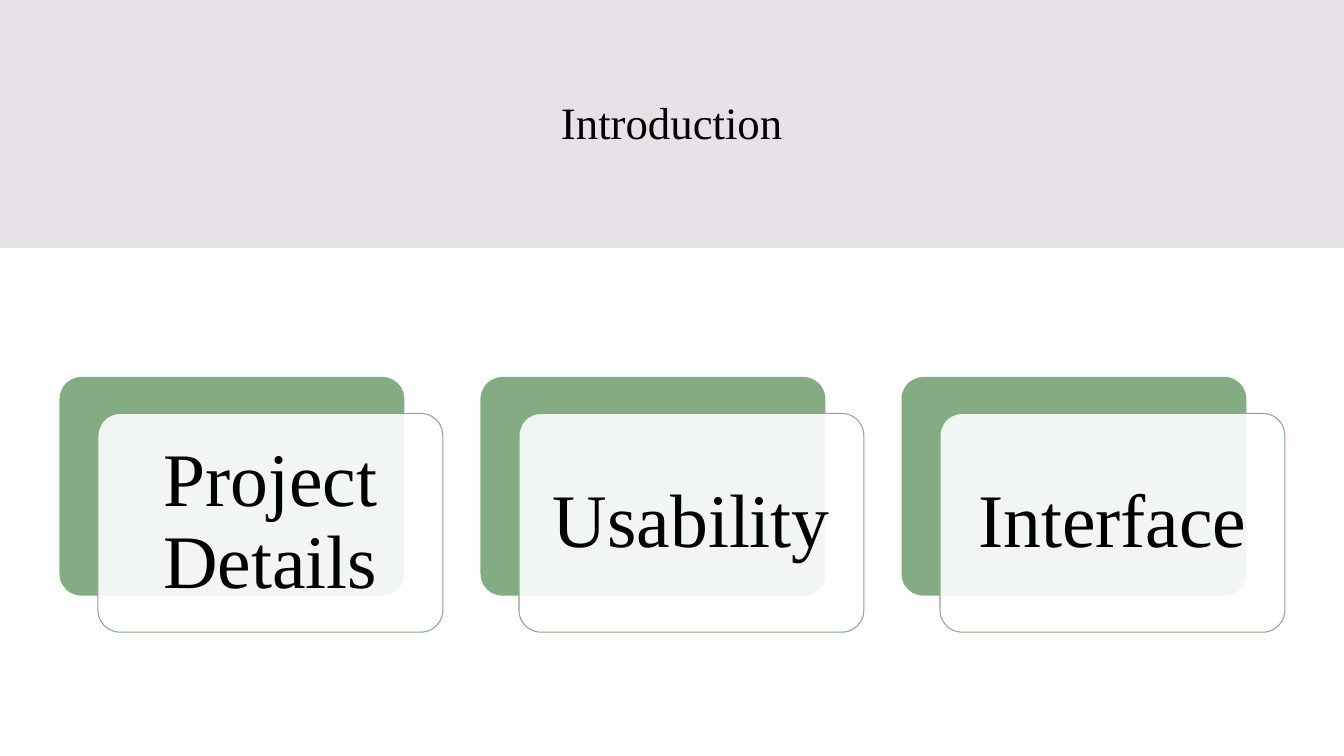
from lxml import etree
from pptx import Presentation
from pptx import util as u
from pptx.dml import color
from pptx.enum import shapes, text
from pptx.oxml import ns

SLIDE_WIDTH, SLIDE_HEIGHT = 33.87, 19.05
BAND_HEIGHT = 6.25
CARD_WIDTH, CARD_HEIGHT = 8.69, 5.51
CARD_LEFT, CARD_TOP, CARD_STEP = 1.5, 9.5, 10.61
FRONT_SHIFT_X, FRONT_SHIFT_Y = 0.97, 0.92
LABEL_MARGIN = 0.16


def rgb(value):
    return color.RGBColor.from_string(value)


def write(shape, content, *, size, font, ink, inset=None, line_spacing=None):
    """Put centred text into a shape."""
    frame = shape.text_frame
    frame.word_wrap = True
    frame.vertical_anchor = text.MSO_ANCHOR.MIDDLE
    if inset is not None:
        frame.margin_left = frame.margin_right = u.Cm(inset)
        frame.margin_top = frame.margin_bottom = u.Cm(inset)
    paragraph = frame.paragraphs[0]
    paragraph.alignment = text.PP_ALIGN.CENTER
    if line_spacing is not None:
        paragraph.line_spacing = line_spacing
    run = paragraph.add_run()
    run.text = content
    run.font.size = u.Pt(size)
    run.font.name = font
    run.font.color.rgb = rgb(ink)


class IntroductionSlide:
    font = "Times New Roman"
    ink = "000000"
    background = "E8E2E8"
    white = "FFFFFF"
    green = "84AC82"

    def __init__(self, presentation):
        self.slide = presentation.slides.add_slide(presentation.slide_layouts[6])
        fill = self.slide.background.fill
        fill.solid()
        fill.fore_color.rgb = rgb(self.background)

    def box(self, left, top, width, height, fill, *, radius=None, line=None, opacity=100):
        """Add a rectangle, rounded when a radius is given."""
        kinds = shapes.MSO_SHAPE
        kind = kinds.RECTANGLE if radius is None else kinds.ROUNDED_RECTANGLE
        shape = self.slide.shapes.add_shape(
            kind, u.Cm(left), u.Cm(top), u.Cm(width), u.Cm(height))
        shape.shadow.inherit = False
        if radius is not None:
            shape.adjustments[0] = radius
        shape.fill.solid()
        shape.fill.fore_color.rgb = rgb(fill)
        if opacity < 100:
            fill_color = shape.fill._xPr.find(".//" + ns.qn("a:srgbClr"))
            etree.SubElement(fill_color, ns.qn("a:alpha"), val=str(opacity * 1000))
        if line is None:
            shape.line.fill.background()
        else:
            shape.line.color.rgb = rgb(line)
            shape.line.width = u.Pt(0.75)

    def label(self, left, top, width, height, content, size, **text_format):
        shape = self.slide.shapes.add_textbox(
            u.Cm(left), u.Cm(top), u.Cm(width), u.Cm(height))
        write(shape, content, size=size, font=self.font, ink=self.ink, **text_format)

    def card(self, left, top, content):
        """Add a green card with a translucent, labelled card in front."""
        self.box(left, top, CARD_WIDTH, CARD_HEIGHT, self.green, radius=0.1)
        left += FRONT_SHIFT_X
        top += FRONT_SHIFT_Y
        self.box(left, top, CARD_WIDTH, CARD_HEIGHT, self.white,
                 radius=0.1, line=self.green, opacity=90)
        self.label(left + LABEL_MARGIN, top + LABEL_MARGIN,
                   CARD_WIDTH - 2 * LABEL_MARGIN, CARD_HEIGHT - 2 * LABEL_MARGIN,
                   content, 54, inset=0.58, line_spacing=0.9)


def main():
    presentation = Presentation()
    presentation.slide_width = u.Cm(SLIDE_WIDTH)
    presentation.slide_height = u.Cm(SLIDE_HEIGHT)
    introduction = IntroductionSlide(presentation)
    introduction.label(3, 1.5, 27.86, 3.12, "Introduction", 32)
    introduction.box(0, BAND_HEIGHT, SLIDE_WIDTH, SLIDE_HEIGHT - BAND_HEIGHT,
                     introduction.white)
    for index, topic in enumerate(["Project Details", "Usability", "Interface"]):
        introduction.card(CARD_LEFT + index * CARD_STEP, CARD_TOP, topic)
    presentation.save("out.pptx")


if __name__ == "__main__":
    main()
